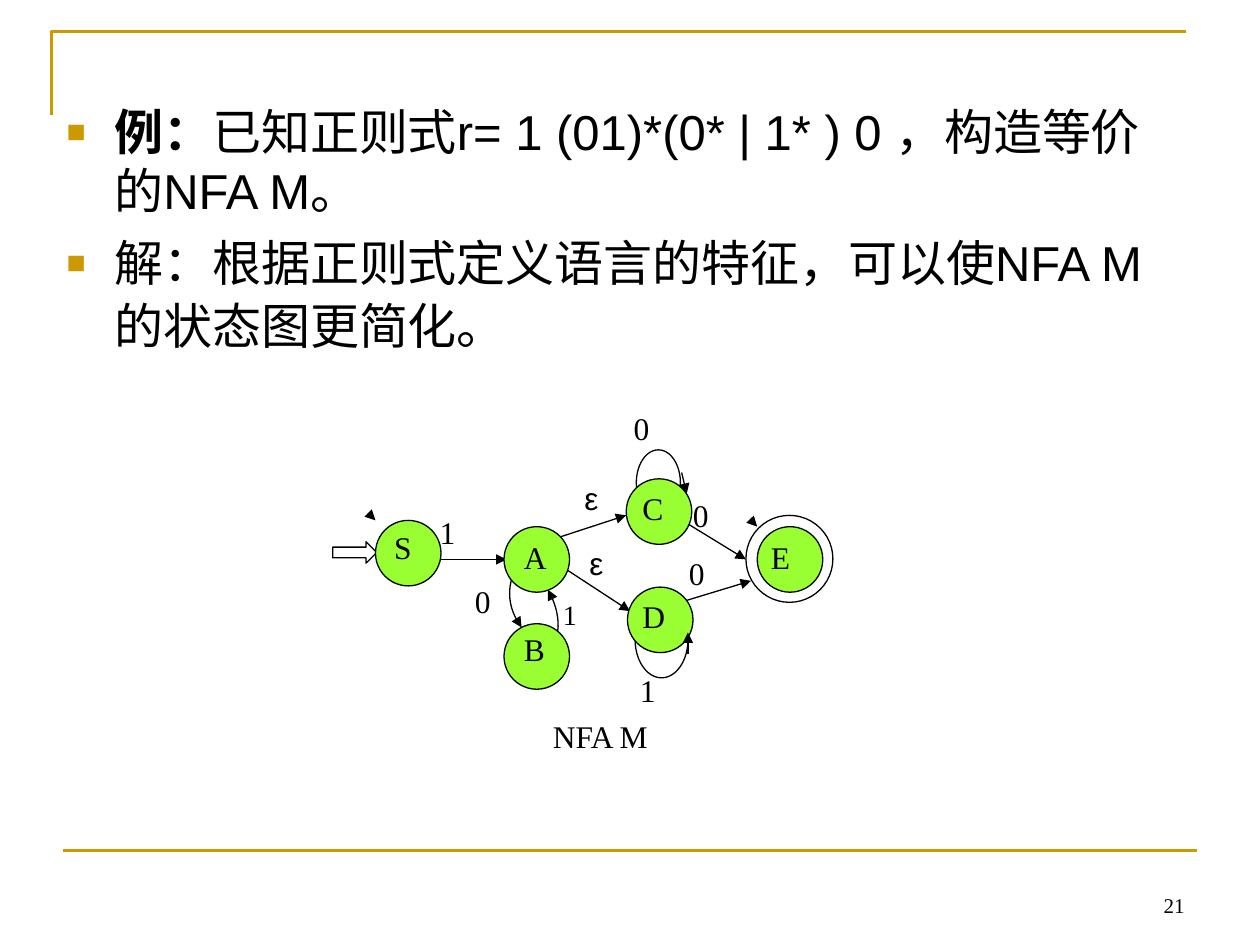
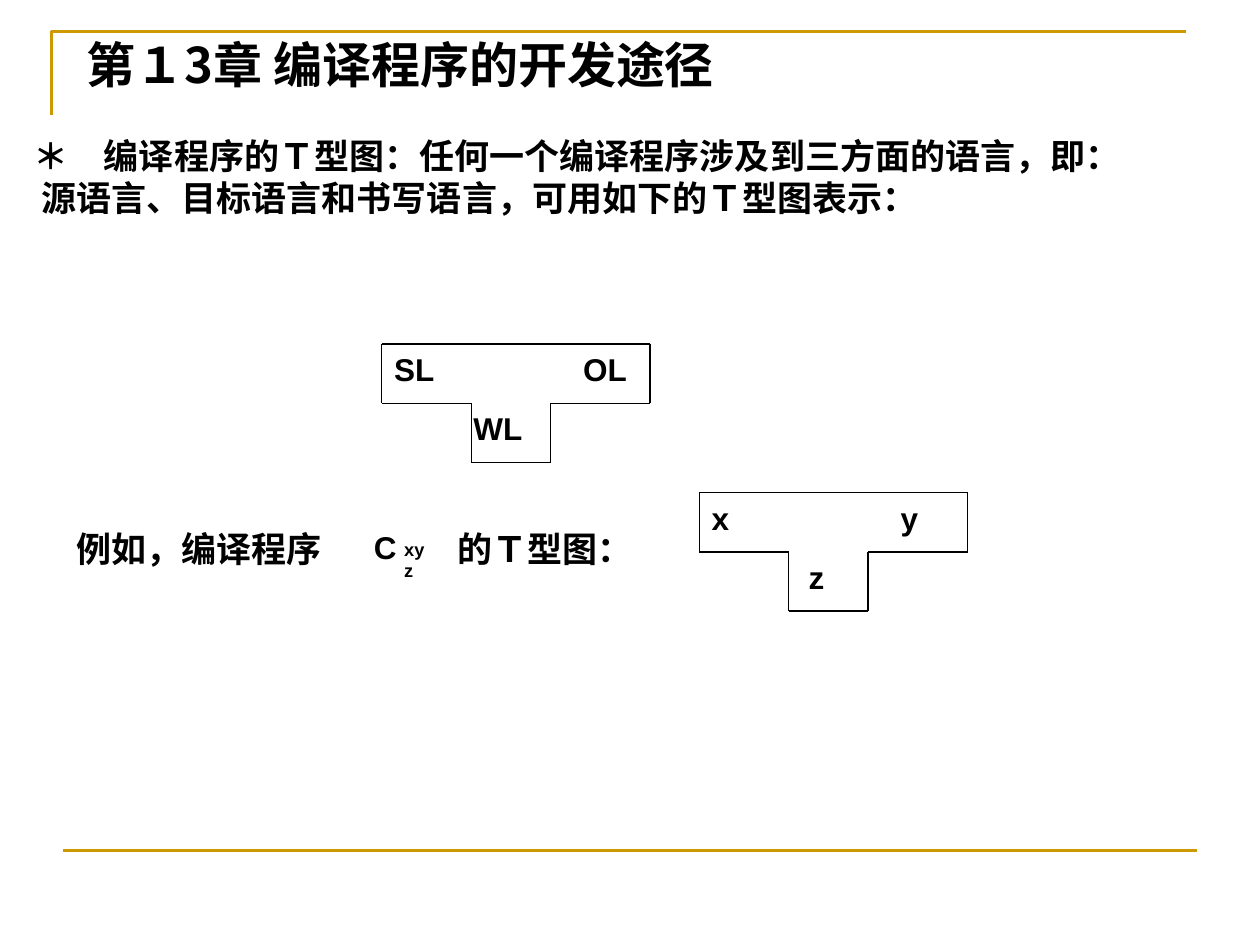
import lxml.etree
import pptx
import pptx.dml.color
import pptx.enum.shapes
import pptx.enum.text
import pptx.oxml.ns
import pptx.util

Inches = pptx.util.Inches
Pt = pptx.util.Pt
qn = pptx.oxml.ns.qn
RGB = pptx.dml.color.RGBColor.from_string
Kind = pptx.enum.shapes.MSO_SHAPE
STRAIGHT = pptx.enum.shapes.MSO_CONNECTOR.STRAIGHT
Anchor = pptx.enum.text.MSO_ANCHOR

COLORS = {"rule": "CC9900", "state": "99FF33", "ink": "000000", "paper": "FFFFFF"}
SANS, SERIF, CHINESE = "Arial", "Times New Roman", "Noto Sans CJK SC"


def add_text(page, lines, left, top, width=0.7, height=0.5, size=18,
             font=SANS, bold=False, anchor=Anchor.TOP):
    """Add a text box with one paragraph per line; a line is a string or a tuple of runs."""
    box = page.shapes.add_textbox(Inches(left), Inches(top), Inches(width), Inches(height))
    frame = box.text_frame
    frame.word_wrap = True
    frame.vertical_anchor = anchor
    for index, line in enumerate(lines):
        para = frame.add_paragraph() if index else frame.paragraphs[0]
        for text in (line,) if isinstance(line, str) else line:
            span = para.add_run()
            span.text = text
            span.font.size = Pt(size)
            span.font.bold = bold
            span.font.name = font
            span.font.color.rgb = RGB(COLORS["ink"])
            east_asian = lxml.etree.SubElement(span.font._element, qn("a:ea"))
            east_asian.set("typeface", CHINESE)
    return frame


def style_line(shape, color="ink", width=0.75, arrow=False):
    """Set the outline, drop the shadow and optionally add an end arrowhead."""
    shape.line.color.rgb = RGB(COLORS[color])
    shape.line.width = Pt(width)
    if arrow:
        head = lxml.etree.SubElement(shape.line._get_or_add_ln(), qn("a:tailEnd"))
        head.set("type", "triangle")
    lxml.etree.SubElement(shape._element.spPr, qn("a:effectLst"))


deck = pptx.Presentation()
deck.slide_width, deck.slide_height = Inches(10), Inches(7.5)
pages = [deck.slides.add_slide(deck.slide_layouts[6]) for _ in range(2)]

# Gold rules on every slide
for page in pages:
    builder = page.shapes.build_freeform(Inches(0.41), Inches(0.91), scale=1.0)
    builder.add_line_segments(
        [(Inches(0.41), Inches(0.25)), (Inches(9.41), Inches(0.25))], close=False)
    corner = builder.convert_to_shape()
    corner.fill.background()
    style_line(corner, "rule", 1.5)
    footer_rule = page.shapes.add_connector(
        STRAIGHT, Inches(0.5), Inches(6.75), Inches(9.5), Inches(6.75))
    style_line(footer_rule, "rule", 1.5)

automaton_page, t_page = pages

# Slide 1: problem statement
number = add_text(automaton_page, ["21"], 7.17, 6.83, 2.33, 0.5, 12, SERIF,
                  anchor=Anchor.BOTTOM)
number.paragraphs[0].alignment = pptx.enum.text.PP_ALIGN.RIGHT

body = add_text(automaton_page, [
    ("例：", "已知正则式r= 1 (01)*(0* | 1* ) 0 ，构造等价的NFA M。"),
    ("解：根据正则式定义语言的特征，可以使NFA M的状态图更简化。", " "),
], 0.43, 0.76, 9, 2.36, 28)
problem, solution = body.paragraphs
problem.runs[0].font.bold = True
solution.runs[1].font.size = Pt(30)
solution.space_before = Pt(7.5)
for para in body.paragraphs:
    props = para._p.get_or_add_pPr()
    props.set("marL", str(Inches(0.38)))
    props.set("indent", str(-Inches(0.38)))
    bullet_color = lxml.etree.SubElement(props, qn("a:buClr"))
    lxml.etree.SubElement(bullet_color, qn("a:srgbClr")).set("val", COLORS["rule"])
    lxml.etree.SubElement(props, qn("a:buSzPct")).set("val", "65000")
    lxml.etree.SubElement(props, qn("a:buFont")).set("typeface", SANS)
    lxml.etree.SubElement(props, qn("a:buChar")).set("char", "■")

# Slide 1: self-loops, accepting ring and start arrow lie behind the states
for kind, left, top, width, height in [
    (Kind.OVAL, 5.05, 3.57, 0.35, 0.52),
    (Kind.OVAL, 5.04, 4.77, 0.42, 0.61),
    (Kind.OVAL, 5.92, 4.09, 0.69, 0.69),
    (Kind.RIGHT_ARROW, 2.64, 4.3, 0.35, 0.17),
]:
    outline = automaton_page.shapes.add_shape(
        kind, Inches(left), Inches(top), Inches(width), Inches(height))
    outline.fill.solid()
    outline.fill.fore_color.rgb = RGB(COLORS["paper"])
    style_line(outline)

# Curved edges between A and B, as cubic Bezier control points
STEPS = 16
for curve in [
    [(4.13, 4.46), (4.01, 4.62), (4.02, 4.82), (4.14, 4.98)],
    [(4.33, 5.19), (4.46, 5.08), (4.46, 4.88), (4.35, 4.68)],
]:
    points = []
    for step in range(STEPS + 1):
        t = step / STEPS
        weights = [(1 - t) ** 3, 3 * t * (1 - t) ** 2, 3 * t ** 2 * (1 - t), t ** 3]
        points.append(tuple(
            Inches(sum(w * point[axis] for w, point in zip(weights, curve)))
            for axis in (0, 1)))
    builder = automaton_page.shapes.build_freeform(*points[0], scale=1.0)
    builder.add_line_segments(points[1:], close=False)
    arc = builder.convert_to_shape()
    arc.fill.background()
    style_line(arc, arrow=True)

edges = [
    (3.5, 4.44, 4.02, 4.44),
    (4.45, 4.26, 4.97, 4.09),
    (4.48, 4.51, 5, 4.85),
    (5.43, 4.14, 5.92, 4.44),
    (5.4, 4.78, 5.96, 4.61),
]
loop_ends = [(5.41, 3.75, 5.45, 3.92), (5.46, 5.19, 5.46, 5.02)]
corner_marks = [(2.97, 4.12, 2.98, 4.13), (6, 4.17, 6.01, 4.18)]
states = {
    "S": (2.98, 4.13, 3.03, 4.14),
    "A": (4, 4.18, 4.06, 4.22),
    "B": (4, 4.95, 4.06, 4.95),
    "C": (4.97, 3.8, 5, 3.83),
    "D": (4.98, 4.66, 5, 4.69),
    "E": (6.01, 4.18, 6.02, 4.22),
}
for ends in edges:
    edge = automaton_page.shapes.add_connector(STRAIGHT, *map(Inches, ends))
    style_line(edge, arrow=True)
for name, (left, top, text_left, text_top) in states.items():
    state = automaton_page.shapes.add_shape(
        Kind.OVAL, Inches(left), Inches(top), Inches(0.52), Inches(0.52))
    state.fill.solid()
    state.fill.fore_color.rgb = RGB(COLORS["state"])
    style_line(state)
    add_text(automaton_page, [name], text_left, text_top, font=SERIF)
for ends in loop_ends + corner_marks:
    arrow = automaton_page.shapes.add_connector(STRAIGHT, *map(Inches, ends))
    style_line(arrow, arrow=True)

for symbol, left, top, size, font in [
    ("1", 3.39, 4.02, 18, SERIF),
    ("0", 3.67, 4.57, 18, SERIF),
    ("1", 4.37, 4.69, 16, SERIF),
    ("ε", 4.54, 3.75, 18, SANS),
    ("ε", 4.58, 4.27, 18, SANS),
    ("0", 4.93, 3.2, 18, SERIF),
    ("1", 4.98, 5.28, 18, SERIF),
    ("0", 5.4, 3.89, 18, SERIF),
    ("0", 5.37, 4.35, 18, SERIF),
]:
    add_text(automaton_page, [symbol], left, top, size=size, font=font)
add_text(automaton_page, ["NFA M"], 4.29, 5.64, 1.26, font=SERIF)

# Slide 2: title and introduction
add_text(t_page, ["第１3章 编译程序的开发途径"], 0.59, 0.22, 9.41, 0.58, 28,
         CHINESE, True, Anchor.MIDDLE)
intro = add_text(t_page, [
    "＊　编译程序的Ｔ型图：任何一个编译程序涉及到三方面的语言，即：",
    "源语言、目标语言和书写语言，可用如下的Ｔ型图表示：",
], 0.17, 1.02, 9.75, 1.1, 20, bold=True)
intro.paragraphs[1]._p.get_or_add_pPr().set("marL", str(Inches(0.06)))

# Slide 2: T diagrams, with corners and labels measured from the top left
T_CORNERS = [(0, 0), (2.13, 0), (2.13, 0.47), (1.34, 0.47),
             (1.34, 0.94), (0.71, 0.94), (0.71, 0.47), (0, 0.47)]
for left, top, source, target, writing, writing_offset in [
    (3.03, 2.73, "SL", "OL", "WL", 0.63),
    (5.55, 3.91, "x", "y", "z", 0.77),
]:
    corners = [(Inches(left + x), Inches(top + y)) for x, y in T_CORNERS]
    for start, end in zip(corners, corners[1:] + corners[:1]):
        side = t_page.shapes.add_connector(STRAIGHT, *start, *end)
        style_line(side)
    for text, x, y in [(source, 0, 0), (target, 1.5, 0), (writing, writing_offset, 0.47)]:
        add_text(t_page, [text], left + x, top + y, 0.8, 0.4, bold=True)

# Slide 2: example sentence with the compiler symbol
add_text(t_page, ["例如，编译程序"], 0.51, 4.14, 2.3, 0.44, 20, bold=True)
add_text(t_page, ["的Ｔ型图："], 3.53, 4.14, 1.65, 0.44, 20, bold=True)
add_text(t_page, ["C"], 2.87, 4.14, 0.5, 0.4, bold=True)
for text, top, baseline in [("xy", 4.19, 30000), ("z", 4.22, -25000)]:
    script = add_text(t_page, [text], 3.11, top, 0.55, 0.4, bold=True)
    script.paragraphs[0].runs[0].font._element.set("baseline", str(baseline))

deck.save("out.pptx")
